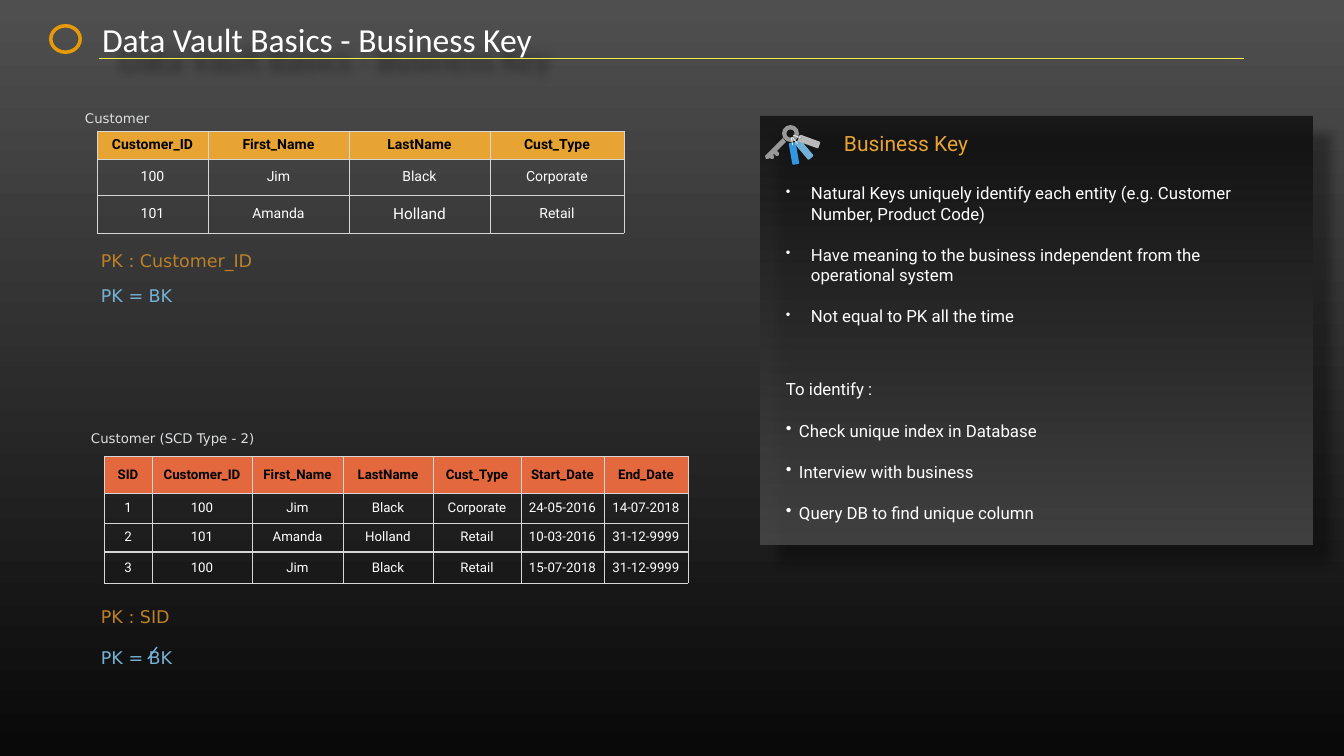
import pptx
import pptx.util
import pptx.dml.color
import pptx.enum.shapes
import pptx.enum.text
import pptx.oxml
import pptx.oxml.ns
from lxml import etree

RGB = pptx.dml.color.RGBColor
SHAPE = pptx.enum.shapes.MSO_SHAPE
ALIGN = pptx.enum.text.PP_ALIGN
MIDDLE = pptx.enum.text.MSO_ANCHOR.MIDDLE
Pt = pptx.util.Pt
qn = pptx.oxml.ns.qn

WHITE = RGB(0xFF, 0xFF, 0xFF)
BLACK = RGB(0, 0, 0)
DARK = RGB(0x09, 0x09, 0x09)
GREY = RGB(0x4F, 0x4F, 0x4F)
STEEL = RGB(0x99, 0x99, 0x99)
RING = RGB(0xE5, 0xE5, 0xE5)
PALE = RGB(0xDC, 0xDE, 0xE0)
RULE = RGB(0xD6, 0xD7, 0xD6)
YELLOW = RGB(0xF8, 0xEF, 0x4A)
MARK = RGB(0xE6, 0x9A, 0x0A)
GOLD = RGB(0xE8, 0xA4, 0x32)
ORANGE = RGB(0xE3, 0x68, 0x3E)
BROWN = RGB(0xBC, 0x80, 0x27)
BLUE = RGB(0x75, 0xB1, 0xD5)
SHADE = RGB(0x01, 0x01, 0x01)

SCALE = 914400 / 50.4
WIDE, HIGH = 1344, 756
PAD = 4

TITLE = "Data Vault Basics - Business Key"
FACTS = ["Natural Keys uniquely identify each entity (e.g. Customer Number, Product Code)",
         "Have meaning to the business independent from the operational system",
         "Not equal to PK all the time"]
CHECKS = ["Check unique index in Database", "Interview with business",
          "Query DB to find unique column"]
TABLES = [
    {"at": (97, 131), "fill": GOLD, "size": 20, "thick": None,
     "cols": (111, 141, 141, 134), "rows": (28, 36, 38), "large": "Holland",
     "cells": [("Customer_ID", "First_Name", "LastName", "Cust_Type"),
               ("100", "Jim", "Black", "Corporate"),
               ("101", "Amanda", "Holland", "Retail")]},
    {"at": (104, 456), "fill": ORANGE, "size": 19, "thick": 3,
     "cols": (48, 100, 91, 90, 88, 83, 84), "rows": (37, 30, 29, 31), "large": None,
     "cells": [("SID", "Customer_ID", "First_Name", "LastName", "Cust_Type",
                "Start_Date", "End_Date"),
               ("1", "100", "Jim", "Black", "Corporate", "24-05-2016", "14-07-2018"),
               ("2", "101", "Amanda", "Holland", "Retail", "10-03-2016", "31-12-9999"),
               ("3", "100", "Jim", "Black", "Retail", "15-07-2018", "31-12-9999")]},
]
LABELS = [
    ("Customer", (81, 100, 141, 24), 19, 40, PALE),
    ("Customer (SCD Type - 2)", (87, 420, 206, 24), 19, 40, PALE),
    ("PK : Customer_ID", (97, 240, 206, 29), 25, 48, BROWN),
    ("PK : SID", (97, 596, 206, 29), 25, 48, BROWN),
    ("PK = BK", (97, 275, 206, 29), 25, 48, BLUE),
    ("PK = BK", (97, 637, 206, 29), 25, 48, BLUE),
]
LINES = [((99, 58), (1244, 58), YELLOW, 1), ((148, 659), (157, 647), BLUE, 2)]
SHAFT = [(783, 138), (765, 156), (766, 159), (768, 159), (770, 158), (771, 159),
         (773, 159), (774, 158), (774, 156), (773, 155), (774, 154), (776, 156),
         (778, 156), (779, 155), (779, 153), (777, 151), (786, 142)]
TAGS = [
    (80, (783, 150), (792, 144), (788, 141), RGB(0x31, 0x97, 0xE0), RGB(0x34, 0x84, 0xC9)),
    (50, (793, 146), (797, 142), (791, 140), RGB(0x72, 0xB1, 0xD7), RGB(0x64, 0x9A, 0xBC)),
    (20, (798, 138), (800, 137), (793, 136), RGB(0xB9, 0xB9, 0xB9), STEEL),
]


def px(*nums):
    return [round(n * SCALE) for n in nums]


def blend(fill, top, base):
    fill.gradient()
    fill.gradient_angle = 270
    for stop, tone in zip(fill.gradient_stops, (top, base)):
        stop.color.rgb = tone


def sub(node, tag, **attrs):
    return etree.SubElement(node, qn(tag), attrs)


def cast(shape):
    shape.shadow.inherit = False
    effect = shape.element.spPr.find(qn("a:effectLst"))
    drop = sub(effect, "a:outerShdw", blurRad=str(Pt(15)), dist=str(Pt(36)),
               dir="2700000", algn="tl", rotWithShape="0")
    sub(sub(drop, "a:srgbClr", val=str(SHADE)), "a:alpha", val="46000")


def style(para, face, size, tone, bold=False):
    font = para.font
    font.name, font.size, font.bold = face, Pt(size), bold
    font.color.rgb = tone


def frame(shape, wrap=True):
    text = shape.text_frame
    text.word_wrap = wrap
    text.auto_size = pptx.enum.text.MSO_AUTO_SIZE.NONE
    text.vertical_anchor = MIDDLE
    text.margin_left, text.margin_top, text.margin_right, text.margin_bottom = px(*[PAD] * 4)
    return text


def add_box(slide, at, wrap=True):
    return frame(slide.shapes.add_textbox(*px(*at)), wrap)


def add_flat(slide, kind, at, tone, turn=0):
    shape = slide.shapes.add_shape(kind, *px(*at))
    shape.shadow.inherit = False
    shape.fill.solid()
    shape.fill.fore_color.rgb = tone
    shape.line.fill.background()
    shape.rotation = turn
    return shape


def add_line(slide, start, end, tone, width):
    line = slide.shapes.add_connector(pptx.enum.shapes.MSO_CONNECTOR.STRAIGHT,
                                      *px(*start, *end))
    line.line.color.rgb = tone
    line.line.width = Pt(width)
    sub(line.element.spPr, "a:effectLst")


def add_list(slide, at, items):
    text = add_box(slide, at)
    for i, (words, dent, size) in enumerate(items):
        para = text.paragraphs[0] if i == 0 else text.add_paragraph()
        para.text = words
        if i:
            para.space_before = Pt(30)
        if dent:
            props = para._p.get_or_add_pPr()
            gap = px(dent)[0]
            props.set("marL", str(gap))
            props.set("indent", str(-gap))
            sub(sub(props, "a:buClr"), "a:srgbClr", val=str(WHITE))
            sub(props, "a:buSzPct", val=str(size * 1000))
            sub(props, "a:buChar", char="•")
        style(para, "Roboto", 24, WHITE)


def edge(cell, top, base):
    props = cell._tc.get_or_add_tcPr()
    for i, (side, width) in enumerate((("L", 1), ("R", 1), ("T", top), ("B", base))):
        line = etree.Element(qn("a:ln" + side), {"w": str(Pt(width))})
        sub(sub(line, "a:solidFill"), "a:srgbClr", val=str(RULE))
        props.insert(i, line)


def add_grid(slide, data):
    cols, rows, thick = data["cols"], data["rows"], data["thick"]
    grid = slide.shapes.add_table(len(rows), len(cols),
                                  *px(*data["at"], sum(cols), sum(rows))).table
    grid.horz_banding = False
    for col, width in zip(grid.columns, px(*cols)):
        col.width = width
    for r, (row, high) in enumerate(zip(grid.rows, px(*rows))):
        row.height = high
        for cell, words in zip(row.cells, data["cells"][r]):
            cell.margin_left, cell.margin_right, cell.margin_top, cell.margin_bottom = px(3, 3, 3, 3)
            cell.vertical_anchor = MIDDLE
            if r == 0:
                cell.fill.solid()
                cell.fill.fore_color.rgb = data["fill"]
            else:
                cell.fill.background()
            edge(cell, 2 if r == thick else 1, 2 if r + 1 == thick else 1)
            para = cell.text_frame.paragraphs[0]
            para.text = words
            para.alignment = ALIGN.CENTER
            size = 22 if words == data["large"] else data["size"]
            style(para, "Roboto", size, WHITE if r else BLACK, r == 0)


def add_key(slide):
    ring = add_flat(slide, SHAPE.DONUT, (782, 125, 17, 17), STEEL)
    ring.adjustments[0] = 0.26
    path = slide.shapes.build_freeform(*SHAFT[0], scale=SCALE)
    path.add_line_segments(SHAFT[1:])
    shaft = path.convert_to_shape()
    shaft.shadow.inherit = False
    shaft.fill.solid()
    shaft.fill.fore_color.rgb = STEEL
    shaft.line.fill.background()
    for turn, tag, hole, loop, tone, dot in TAGS:
        add_flat(slide, SHAPE.ROUNDED_RECTANGLE, (*tag, 22, 7), tone, turn)
        add_flat(slide, SHAPE.OVAL, (*hole, 2, 2), dot)
        add_flat(slide, SHAPE.ROUNDED_RECTANGLE, (*loop, 8, 1), RING, turn)


def add_panel(slide):
    panel = slide.shapes.add_shape(SHAPE.RECTANGLE, *px(760, 116, 553, 429))
    blend(panel.fill, DARK, GREY)
    for tone in panel.element.spPr.iter(qn("a:srgbClr")):
        sub(tone, "a:alpha", val="75000")
    panel.line.fill.background()
    cast(panel)
    add_key(slide)
    para = add_box(slide, (838, 127, 136, 33), False).paragraphs[0]
    para.text = "Business Key"
    para.alignment = ALIGN.CENTER
    style(para, "Roboto", 30, GOLD)
    add_list(slide, (782, 179, 510, 151), [(fact, 25, 80) for fact in FACTS])
    add_list(slide, (782, 375, 510, 152),
             [("To identify :", 0, 100)] + [(check, 13, 100) for check in CHECKS])


def main():
    deck = pptx.Presentation()
    deck.slide_width, deck.slide_height = px(WIDE, HIGH)
    slide = deck.slides.add_slide(deck.slide_layouts[5])
    blend(slide.background.fill, GREY, DARK)

    title = slide.shapes.title
    title.left, title.top, title.width, title.height = px(98, 20, 533, 39)
    para = frame(title).paragraphs[0]
    para.text = TITLE
    para.alignment = ALIGN.LEFT
    style(para, "Calibri", 48, WHITE)
    cast(title)

    add_flat(slide, SHAPE.DONUT, (49, 24, 33, 30), MARK).adjustments[0] = 0.12
    add_panel(slide)
    for data in TABLES:
        add_grid(slide, data)
    for words, at, size, space, tone in LABELS:
        para = add_box(slide, at).paragraphs[0]
        para.text = words
        para.line_spacing = Pt(space)
        style(para, "DejaVu Sans", size, tone)
    for line in LINES:
        add_line(slide, *line)
    deck.save("out.pptx")


if __name__ == "__main__":
    main()
